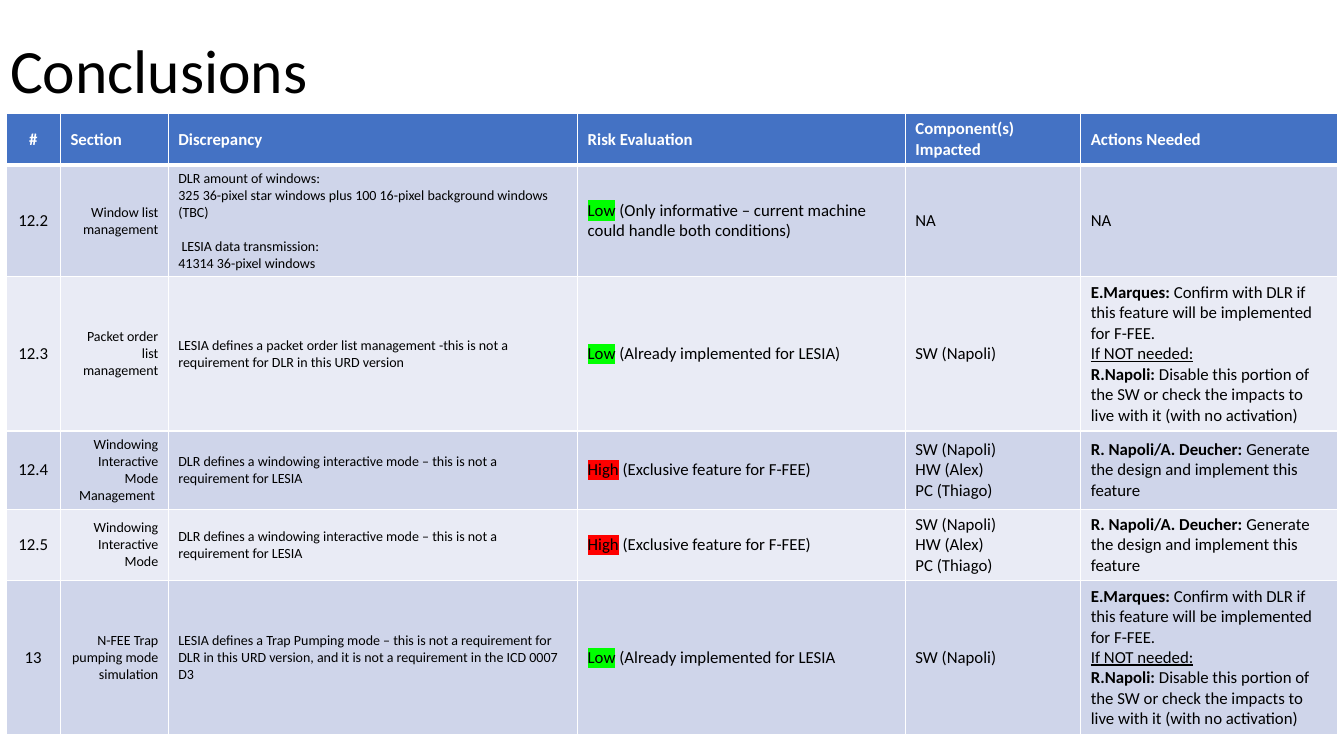
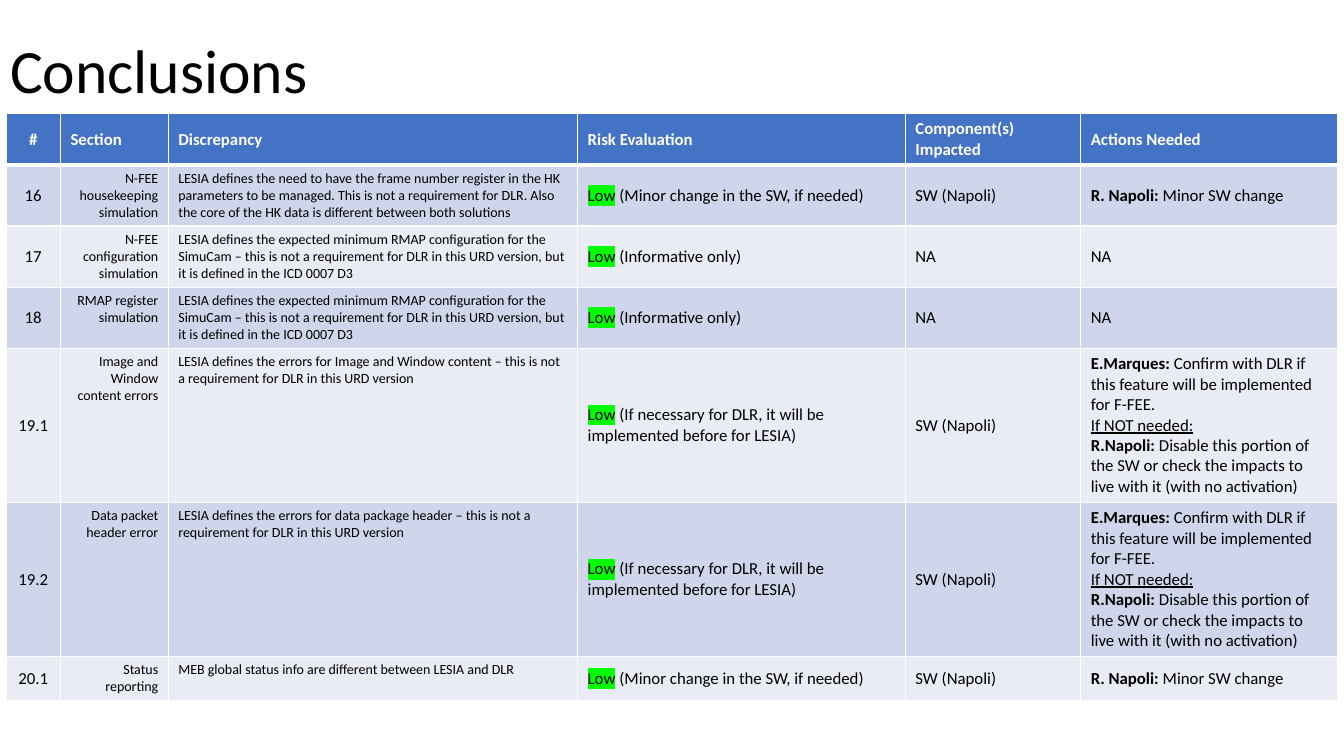
from lxml import etree
from pptx import Presentation
from pptx.dml.color import RGBColor
from pptx.enum.text import MSO_ANCHOR, PP_ALIGN
from pptx.oxml.ns import qn
from pptx.util import Inches, Pt

LEFT, CENTER, RIGHT = PP_ALIGN.LEFT, PP_ALIGN.CENTER, PP_ALIGN.RIGHT
TOP, MIDDLE = MSO_ANCHOR.TOP, MSO_ANCHOR.MIDDLE

FONT = "Calibri"
COLORS = {
    "text": "000000", "white": "FFFFFF", "header": "4472C4",
    "odd": "CFD5EA", "even": "E9EBF5", "Low": "00FF00", "High": "FF0000",
}
TITLE = "Conclusions"
HEADERS = ["#", "Section", "Discrepancy", "Risk Evaluation",
           "Component(s) Impacted", "Actions Needed"]
COLUMN_WIDTHS = [0.54, 1.07, 4.06, 3.25, 1.74, 2.55]
COLUMN_ALIGNS = [CENTER, RIGHT, LEFT, LEFT, LEFT, LEFT]
COLUMN_SIZES = [12, 10, 10, 12, 12, 12]
SMALL_COLUMNS = (1, 2)
HEADER_HEIGHT = 0.5
TABLE_LEFT, TABLE_TOP = 0.06, 1.13
GROUP_GAP = 12

BOLD = {"bold": True}
UNDERLINED = {"underline": True}

NONE = ["NA"]
SOFTWARE = ["SW (Napoli)"]
ALL_PARTS = ["SW (Napoli)", "HW (Alex)", "PC (Thiago)"]
CONFIRM = [
    [("E.Marques: ", BOLD),
     ("Confirm with DLR if this feature will be implemented for F-FEE.", {})],
    [("If NOT needed:", UNDERLINED)],
    [("R.Napoli: ", BOLD),
     ("Disable this portion of the SW or check the impacts to live with it "
      "(with no activation)", {})],
]
GENERATE = [[("R. Napoli/A. Deucher: ", BOLD),
             ("Generate the design and implement this feature", {})]]
MINOR = [[("R. Napoli:", BOLD), (" Minor SW change", {})]]

INTERACTIVE = ["DLR defines a windowing interactive mode – this is not a requirement for LESIA"]
RMAP = ["LESIA defines the expected minimum RMAP configuration for the SimuCam – this is not "
        "a requirement for DLR in this URD version, but it is defined in the ICD 0007 D3"]


def risk(level, note):
    return [[(level, {"highlight": COLORS[level]}), (f" ({note}", {})]]


EXCLUSIVE = risk("High", "Exclusive feature for F-FEE)")
INFORMATIVE = risk("Low", "Informative only)")
MINOR_RISK = risk("Low", "Minor change in the SW, if needed)")
IF_NECESSARY = risk("Low", "If necessary for DLR, it will be implemented before for LESIA)")

SLIDES = [
    {"small_anchor": MIDDLE, "heights": [1.11, 1.53, 0.77, 0.71, 1.53], "rows": [
        (["12.2"], ["Window list management"],
         ["DLR amount of windows:",
          "325 36-pixel star windows plus 100 16-pixel background windows (TBC)",
          [(" LESIA data transmission:", {"gap": GROUP_GAP})],
          "41314 36-pixel windows"],
         risk("Low", "Only informative – current machine could handle both conditions)"),
         NONE, NONE),
        (["12.3"], ["Packet order list management"],
         ["LESIA defines a packet order list management -this is not a requirement "
          "for DLR in this URD version"],
         risk("Low", "Already implemented for LESIA)"), SOFTWARE, CONFIRM),
        (["12.4"], ["Windowing Interactive Mode Management "],
         INTERACTIVE, EXCLUSIVE, ALL_PARTS, GENERATE),
        (["12.5"], ["Windowing Interactive Mode"],
         INTERACTIVE, EXCLUSIVE, ALL_PARTS, GENERATE),
        (["13"], ["N-FEE Trap pumping mode simulation"],
         ["LESIA defines a Trap Pumping mode – this is not a requirement for DLR in this "
          "URD version, and it is not a requirement in the ICD 0007 D3"],
         risk("Low", "Already implemented for LESIA"), SOFTWARE, CONFIRM),
    ]},
    {"small_anchor": TOP, "heights": [0.6, 0.6, 0.6, 1.53, 1.53, 0.43], "rows": [
        (["16"], ["N-FEE housekeeping simulation"],
         ["LESIA defines the need to have the frame number register in the HK parameters "
          "to be managed. This is not a requirement for DLR. Also the core of the HK data "
          "is different between both solutions"],
         MINOR_RISK, SOFTWARE, MINOR),
        (["17"], ["N-FEE configuration simulation"], RMAP, INFORMATIVE, NONE, NONE),
        (["18"], ["RMAP register simulation"], RMAP, INFORMATIVE, NONE, NONE),
        (["19.1"], ["Image and Window content errors"],
         ["LESIA defines the errors for Image and Window content – this is not a "
          "requirement for DLR in this URD version"],
         IF_NECESSARY, SOFTWARE, CONFIRM),
        (["19.2"], ["Data packet header error"],
         ["LESIA defines the errors for data package header – this is not a requirement "
          "for DLR in this URD version"],
         IF_NECESSARY, SOFTWARE, CONFIRM),
        (["20.1"], ["Status reporting"],
         ["MEB global status info are different between LESIA and DLR"],
         MINOR_RISK, SOFTWARE, MINOR),
    ]},
]


def add_color(parent, color):
    etree.SubElement(parent, qn("a:srgbClr"), val=color)


def add_span(para, text, size, color, style):
    span = para.add_run()
    span.text = text
    formats = {"name": FONT, "size": Pt(size), "bold": False, **style}
    highlight = formats.pop("highlight", None)
    para.space_before = Pt(formats.pop("gap", 0))
    for name, value in formats.items():
        setattr(span.font, name, value)
    span.font.color.rgb = RGBColor.from_string(color)
    if highlight:
        mark = etree.Element(qn("a:highlight"))
        add_color(mark, highlight)
        span.font._element.find(qn("a:solidFill")).addnext(mark)


def set_borders(cell, bottom_width):
    properties = cell._tc.get_or_add_tcPr()
    widths = {"a:lnL": 1, "a:lnR": 1, "a:lnT": 1, "a:lnB": bottom_width}
    for position, (tag, width) in enumerate(widths.items()):
        line = etree.Element(qn(tag), w=str(Pt(width)))
        add_color(etree.SubElement(line, qn("a:solidFill")), COLORS["white"])
        properties.insert(position, line)


def fill_cell(cell, paragraphs, align, anchor, size, color, fill, style, bottom_width=1):
    cell.fill.solid()
    cell.fill.fore_color.rgb = RGBColor.from_string(fill)
    cell.vertical_anchor = anchor
    set_borders(cell, bottom_width)
    frame = cell.text_frame
    for index, content in enumerate(paragraphs):
        para = frame.add_paragraph() if index else frame.paragraphs[0]
        para.alignment = align
        spans = [(content, {})] if isinstance(content, str) else content
        for text, span_style in spans:
            add_span(para, text, size, color, {**style, **span_style})


def add_title(page):
    title = page.shapes.title
    place = {"left": 0, "top": 0, "width": 3.29, "height": 1.45}
    for name, value in place.items():
        setattr(title, name, Inches(value))
    frame = title.text_frame
    frame.word_wrap = True
    frame.vertical_anchor = MIDDLE
    para = frame.paragraphs[0]
    para.alignment = LEFT
    para.line_spacing = 0.9
    add_span(para, TITLE, 44, COLORS["text"], {})


def add_findings(page, content):
    heights = [HEADER_HEIGHT] + content["heights"]
    table = page.shapes.add_table(
        len(heights), len(HEADERS), Inches(TABLE_LEFT), Inches(TABLE_TOP),
        Inches(sum(COLUMN_WIDTHS)), Inches(sum(heights))).table
    for column, width in zip(table.columns, COLUMN_WIDTHS):
        column.width = Inches(width)
    for row, height in zip(table.rows, heights):
        row.height = Inches(height)
    for column, text in enumerate(HEADERS):
        fill_cell(table.cell(0, column), [text], LEFT if column else CENTER, MIDDLE, 12,
                  COLORS["white"], COLORS["header"], BOLD, 3)
    for row, cells in enumerate(content["rows"], 1):
        fill = COLORS["odd" if row % 2 else "even"]
        for column, paragraphs in enumerate(cells):
            anchor = content["small_anchor"] if column in SMALL_COLUMNS else MIDDLE
            fill_cell(table.cell(row, column), paragraphs, COLUMN_ALIGNS[column], anchor,
                      COLUMN_SIZES[column], COLORS["text"], fill, {})


def main():
    deck = Presentation()
    deck.slide_width, deck.slide_height = Inches(13.33), Inches(7.5)
    for content in SLIDES:
        page = deck.slides.add_slide(deck.slide_layouts[5])
        add_title(page)
        add_findings(page, content)
    deck.save("out.pptx")


if __name__ == "__main__":
    main()
